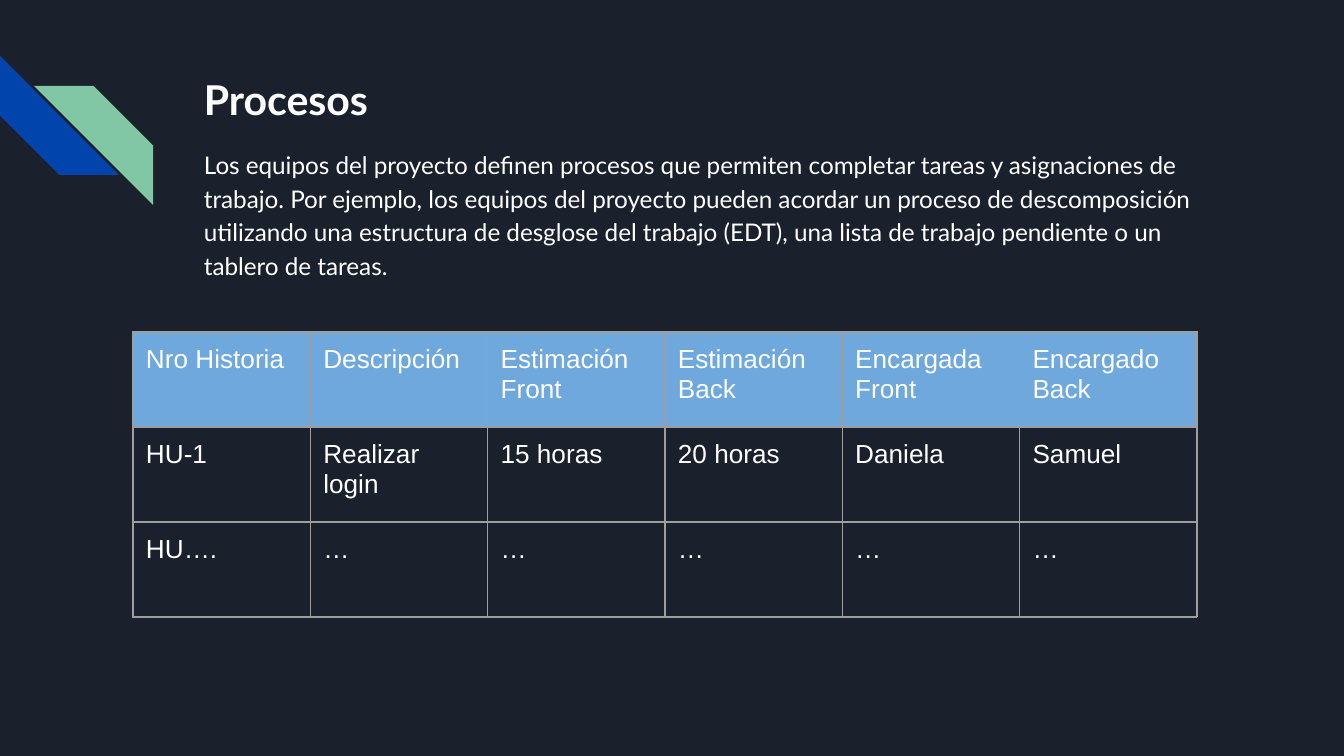
from dataclasses import dataclass

from lxml.etree import SubElement
from pptx import Presentation
from pptx.dml.color import RGBColor
from pptx.enum.shapes import MSO_SHAPE as Preset
from pptx.oxml.ns import qn
from pptx.util import Emu, Pt

EMU_PER_PX = 914400 / 134.4


def px(length):
    """Turn a length in px into EMU."""
    return Emu(round(length * EMU_PER_PX))


@dataclass(frozen=True)
class Theme:
    """Colours, fonts and sizes of the slide."""
    background: str = "1B212C"
    text: str = "FFFFFF"
    blue: str = "0145AC"
    green: str = "82C7A5"
    header: str = "6FA8DC"
    border: str = "9E9E9E"
    body_font: str = "Lato"
    table_font: str = "Arial"
    title_size: int = 22
    body_size: int = 13
    table_size: int = 14
    border_width: float = 0.75
    inset: int = 13


def write(paragraph, text, *, font, size, color, bold=False,
          line_spacing=None, before=0, after=0):
    """Write formatted text into a paragraph."""
    paragraph.line_spacing = line_spacing
    paragraph.space_before, paragraph.space_after = Pt(before), Pt(after)
    run = paragraph.add_run()
    run.text = text
    run.font.name, run.font.size, run.font.bold = font, Pt(size), bold
    run.font.color.rgb = RGBColor.from_string(color)


class SlideBuilder:
    """Add styled elements to one slide."""

    def __init__(self, slide, theme):
        self.slide = slide
        self.theme = theme
        self.paint(slide.background.fill, theme.background)

    def paint(self, fill, color):
        """Fill with a solid colour."""
        fill.solid()
        fill.fore_color.rgb = RGBColor.from_string(color)

    def inset(self, holder):
        """Give a text frame or cell equal margins."""
        for side in ("left", "top", "right", "bottom"):
            setattr(holder, f"margin_{side}", px(self.theme.inset))

    def stripe(self, left, top, size, color, rotation):
        """Add a turned diagonal stripe."""
        shape = self.slide.shapes.add_shape(
            Preset.DIAGONAL_STRIPE, px(left), px(top), px(size), px(size))
        shape.rotation = rotation
        shape.shadow.inherit = False
        self.paint(shape.fill, color)
        shape.line.fill.background()

    def body(self, left, top, width, height, title, text):
        """Add a text box with a title and a paragraph."""
        theme = self.theme
        box = self.slide.shapes.add_textbox(
            px(left), px(top), px(width), px(height))
        frame = box.text_frame
        frame.word_wrap = True
        self.inset(frame)
        style = dict(font=theme.body_font, color=theme.text, line_spacing=1.15)
        write(frame.paragraphs[0], title, size=theme.title_size, bold=True,
              **style)
        write(frame.add_paragraph(), text, size=theme.body_size, before=12,
              after=12, **style)

    def border(self, cell):
        """Draw all four borders of a cell."""
        properties = cell._tc.get_or_add_tcPr()
        for side in ("lnL", "lnR", "lnT", "lnB"):
            line = SubElement(properties, qn(f"a:{side}"),
                              w=str(Pt(self.theme.border_width)))
            fill = SubElement(line, qn("a:solidFill"))
            SubElement(fill, qn("a:srgbClr"), val=self.theme.border)

    def table(self, left, top, width, row_height, rows):
        """Add a table with equal columns and a filled header."""
        theme = self.theme
        table = self.slide.shapes.add_table(
            len(rows), len(rows[0]), px(left), px(top), px(width),
            px(row_height * len(rows))).table
        table.first_row = table.horz_banding = False
        for row_index, row in enumerate(rows):
            for column_index, text in enumerate(row):
                cell = table.cell(row_index, column_index)
                self.inset(cell)
                self.border(cell)
                if row_index == 0:
                    self.paint(cell.fill, theme.header)
                else:
                    cell.fill.background()
                write(cell.text_frame.paragraphs[0], text,
                      font=theme.table_font, size=theme.table_size,
                      color=theme.text)


def main():
    """Build and save the slide."""
    presentation = Presentation()
    presentation.slide_width, presentation.slide_height = px(1344), px(756)
    slide = presentation.slides.add_slide(presentation.slide_layouts[6])
    theme = Theme()
    builder = SlideBuilder(slide, theme)
    builder.stripe(0, 56, 119, theme.blue, rotation=270)
    builder.stripe(34, 86, 119, theme.green, rotation=90)
    builder.body(
        191, 54, 1035, 285, "Procesos",
        "Los equipos del proyecto definen procesos que permiten completar "
        "tareas y asignaciones de trabajo. Por ejemplo, los equipos del "
        "proyecto pueden acordar un proceso de descomposición utilizando una "
        "estructura de desglose del trabajo (EDT), una lista de trabajo "
        "pendiente o un tablero de tareas.")
    builder.table(133, 332, 1064, 95, [
        ["Nro Historia", "Descripción", "Estimación Front",
         "Estimación Back", "Encargada Front", "Encargado Back"],
        ["HU-1", "Realizar login", "15 horas", "20 horas", "Daniela",
         "Samuel"],
        ["HU….", *["…"] * 5],
    ])
    presentation.save("out.pptx")


if __name__ == "__main__":
    main()
